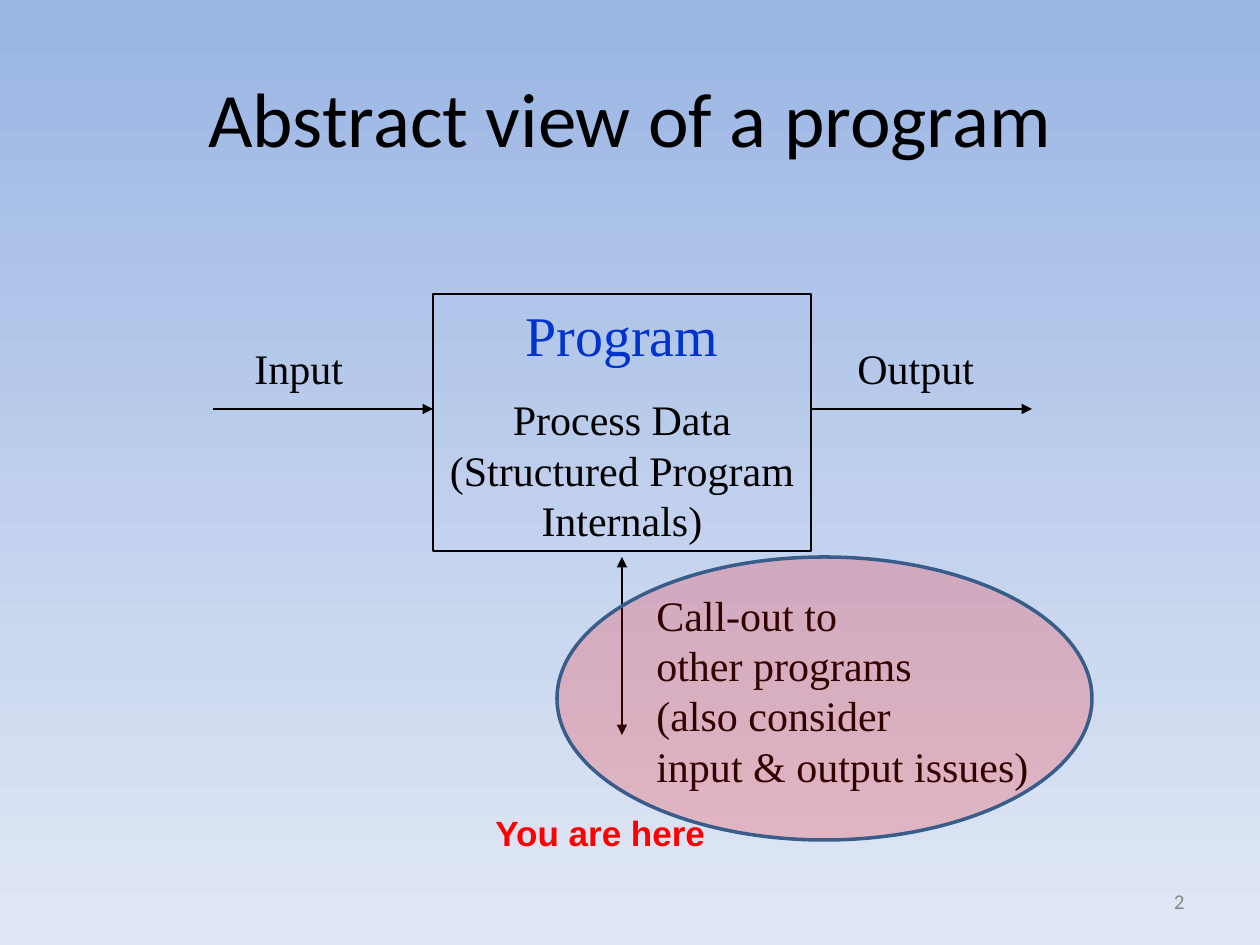
from dataclasses import dataclass

import pptx
import pptx.dml.color
import pptx.enum.shapes
import pptx.enum.text
import pptx.oxml.ns
import pptx.util
from lxml import etree

EMU_PER_PX = 914400 / 126
LINE_HEIGHT = 1.2
SERIF = "Times New Roman"
BLACK = "000000"
ALIGN = pptx.enum.text.PP_ALIGN
ANCHOR = pptx.enum.text.MSO_ANCHOR
SHAPE = pptx.enum.shapes.MSO_SHAPE


@dataclass
class Box:
    left: int
    top: int
    width: int
    height: int


@dataclass
class Line:
    text: str
    size: int
    font: str = SERIF
    color: str = BLACK
    bold: bool = False
    space_before: int = 0


@dataclass
class Label:
    box: Box
    lines: list[Line]
    align: ALIGN = ALIGN.LEFT
    anchor: ANCHOR = ANCHOR.TOP


@dataclass
class Arrow:
    start: tuple[int, int]
    end: tuple[int, int]
    both_ends: bool = False


PROGRAM_BOX = Box(433, 294, 378, 257)
PROGRAM_LINES = [
    Line("Program", 32, color="0033CC"),
    Line("Process Data\n(Structured Program Internals)", 24, space_before=15),
]
CALL_OUT_LINES = ["Call-out to", "other programs", "(also consider", "input & output issues)"]
ARROWS = [
    Arrow((213, 409), (433, 409)),
    Arrow((811, 409), (1032, 409)),
    Arrow((622, 557), (622, 735), both_ends=True),
]
LABELS = [
    Label(Box(903, 876, 294, 50), [Line("2", 12, "Calibri", "898989")], ALIGN.RIGHT, ANCHOR.MIDDLE),
    Label(Box(242, 336, 118, 63), [Line("Input", 24)]),
    Label(Box(845, 336, 147, 63), [Line("Output", 24)]),
    Label(Box(644, 583, 402, 214), [Line(text, 24) for text in CALL_OUT_LINES]),
]
HIGHLIGHT_BOX = Box(557, 557, 535, 283)
HERE_LABEL = Label(Box(483, 805, 240, 55), [Line("You are here", 20, "Arial", "FF0000", bold=True)])


def px(value: int) -> int:
    return round(value * EMU_PER_PX)


def rgb(color: str) -> pptx.dml.color.RGBColor:
    return pptx.dml.color.RGBColor.from_string(color)


def place(box: Box) -> tuple[int, int, int, int]:
    return px(box.left), px(box.top), px(box.width), px(box.height)


def add_element(parent, tag: str, **attributes: str) -> None:
    etree.SubElement(parent, pptx.oxml.ns.qn(tag), attributes)


def format_runs(paragraph, line: Line) -> None:
    for run in paragraph.runs:
        run.font.size = pptx.util.Pt(line.size)
        run.font.name = line.font
        run.font.bold = line.bold
        run.font.color.rgb = rgb(line.color)


def write_lines(text_frame, lines: list[Line], align: ALIGN) -> None:
    for index, line in enumerate(lines):
        paragraph = text_frame.add_paragraph() if index else text_frame.paragraphs[0]
        paragraph.text = line.text
        paragraph.alignment = align
        paragraph.line_spacing = pptx.util.Pt(line.size * LINE_HEIGHT)
        if line.space_before:
            paragraph.space_before = pptx.util.Pt(line.space_before)
        format_runs(paragraph, line)


def add_title(slide, box: Box, line: Line) -> None:
    title = slide.shapes.title
    title.left, title.top, title.width, title.height = place(box)
    title.text_frame.text = line.text
    title.text_frame.vertical_anchor = ANCHOR.MIDDLE
    paragraph = title.text_frame.paragraphs[0]
    paragraph.alignment = ALIGN.CENTER
    format_runs(paragraph, line)


def add_label(slide, label: Label) -> None:
    text_frame = slide.shapes.add_textbox(*place(label.box)).text_frame
    text_frame.word_wrap = False
    text_frame.vertical_anchor = label.anchor
    write_lines(text_frame, label.lines, label.align)


def add_outlined_shape(slide, kind: SHAPE, box: Box, color: str, width: float):
    shape = slide.shapes.add_shape(kind, *place(box))
    shape.shadow.inherit = False
    shape.fill.background()
    shape.line.color.rgb = rgb(color)
    shape.line.width = pptx.util.Pt(width)
    return shape


def add_program_box(slide) -> None:
    shape = add_outlined_shape(slide, SHAPE.RECTANGLE, PROGRAM_BOX, BLACK, 0.75)
    shape.text_frame.word_wrap = True
    shape.text_frame.vertical_anchor = ANCHOR.TOP
    write_lines(shape.text_frame, PROGRAM_LINES, ALIGN.CENTER)


def add_highlight(slide) -> None:
    """Draw the translucent red ellipse over the call-out."""
    shape = add_outlined_shape(slide, SHAPE.OVAL, HIGHLIGHT_BOX, "385D8A", 2)
    shape.fill.solid()
    shape.fill.fore_color.rgb = rgb("FF0000")
    fill_color = shape.fill._xPr.find(".//" + pptx.oxml.ns.qn("a:srgbClr"))
    add_element(fill_color, "a:alpha", val="20000")


def add_arrow(slide, arrow: Arrow) -> None:
    connector = slide.shapes.add_connector(
        pptx.enum.shapes.MSO_CONNECTOR.STRAIGHT, *map(px, arrow.start + arrow.end)
    )
    connector.line.color.rgb = rgb(BLACK)
    connector.line.width = pptx.util.Pt(0.75)
    properties = connector._element.spPr
    outline = properties.find(pptx.oxml.ns.qn("a:ln"))
    if arrow.both_ends:
        add_element(outline, "a:headEnd", type="triangle")
    add_element(outline, "a:tailEnd", type="triangle")
    add_element(properties, "a:effectLst")


def set_background(slide, top_color: str, bottom_color: str) -> None:
    fill = slide.background.fill
    fill.gradient()
    fill.gradient_angle = 270
    for stop, position, color in zip(fill.gradient_stops, (0, 1), (top_color, bottom_color)):
        stop.position = position
        stop.color.rgb = rgb(color)


def main() -> None:
    presentation = pptx.Presentation()
    presentation.slide_width, presentation.slide_height = px(1260), px(945)
    slide = presentation.slides.add_slide(presentation.slide_layouts.get_by_name("Title Only"))
    set_background(slide, "9AB5E4", "E1E8F5")
    add_title(slide, Box(63, 38, 1134, 158), Line("Abstract view of a program", 44, "Calibri"))
    add_program_box(slide)
    for arrow in ARROWS:
        add_arrow(slide, arrow)
    for label in LABELS:
        add_label(slide, label)
    add_highlight(slide)
    add_label(slide, HERE_LABEL)
    presentation.save("out.pptx")


if __name__ == "__main__":
    main()
